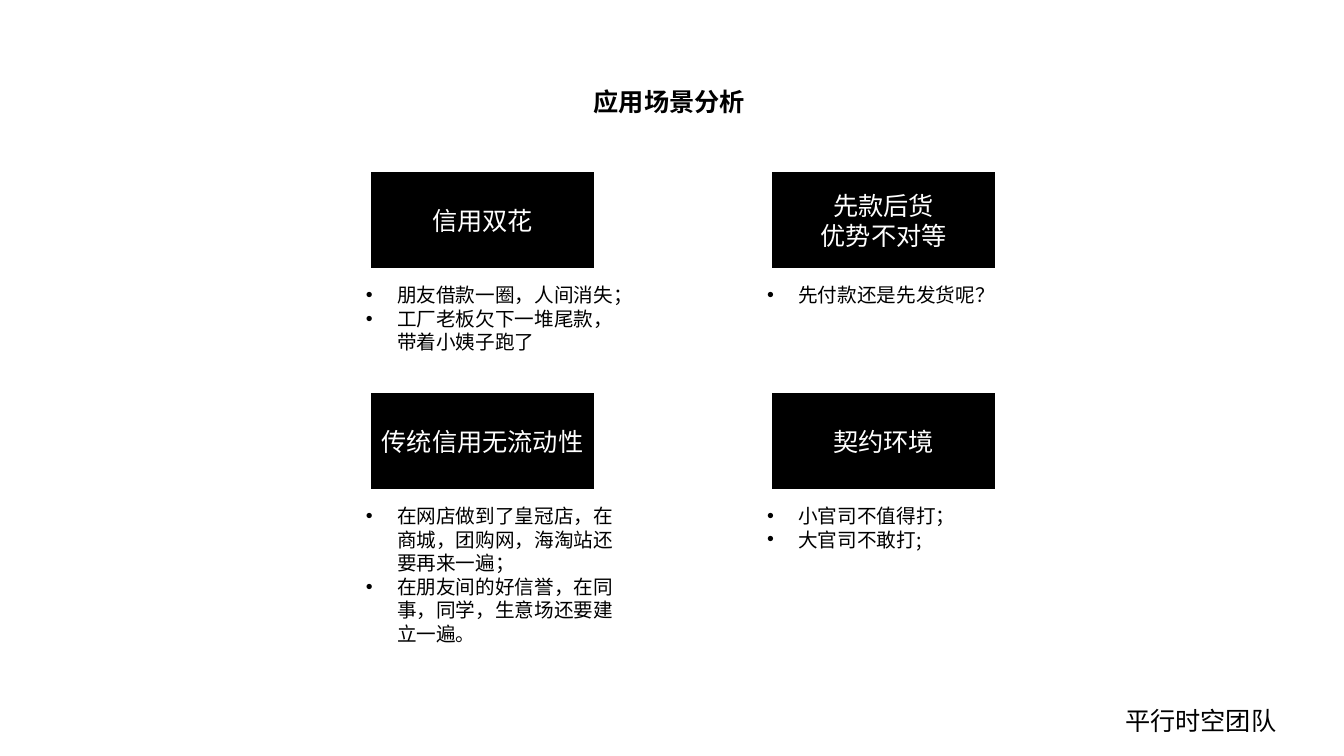
"""Builds the slide on application scenarios: four headed boxes with bullet notes."""
from lxml import etree
from pptx import Presentation
from pptx.dml.color import RGBColor
from pptx.enum.shapes import MSO_SHAPE
from pptx.enum.text import MSO_ANCHOR, MSO_AUTO_SIZE, PP_ALIGN
from pptx.oxml.ns import qn
from pptx.util import Inches, Pt

COLORS = {"ink": "000000", "paper": "FFFFFF"}
FONT = "Noto Sans CJK SC"
COLUMNS = (3.67, 7.65)
ROWS = (1.7, 3.89)
SCENARIOS = [
    ("信用双花", ["朋友借款一圈，人间消失；", "工厂老板欠下一堆尾款，带着小姨子跑了"], 0.81),
    ("先款后货\n优势不对等", ["先付款还是先发货呢？"], 0.34),
    ("传统信用无流动性", ["在网店做到了皇冠店，在商城，团购网，海淘站还要再来一遍；",
                  "在朋友间的好信誉，在同事，同学，生意场还要建立一遍。"], 1.51),
    ("契约环境", ["小官司不值得打；", "大官司不敢打;"], 0.57),
]


def write(frame, text, size, color, align=PP_ALIGN.LEFT, font=FONT, bold=False):
    frame.text = text
    for paragraph in frame.paragraphs:
        paragraph.alignment = align
        for run in paragraph.runs:
            run.font.size = Pt(size)
            run.font.bold = bold
            run.font.name = font
            run.font.color.rgb = RGBColor.from_string(COLORS[color])
            latin = run.font._element.find(qn("a:latin"))
            latin.addnext(etree.Element(qn("a:ea"), typeface=font))


def add_text(left, top, width, height):
    frame = slide.shapes.add_textbox(
        Inches(left), Inches(top), Inches(width), Inches(height)).text_frame
    frame.word_wrap = True
    return frame


deck = Presentation()
deck.slide_width, deck.slide_height = Inches(13.33), Inches(7.5)
slide = deck.slides.add_slide(deck.slide_layouts[6])

team = add_text(10.86, 6.65, 2.1, 1)
team.vertical_anchor = MSO_ANCHOR.MIDDLE
write(team, "平行时空团队", 18, "ink", PP_ALIGN.CENTER, "Noto Sans CJK JP")

title = add_text(5.79, 0.81, 1.72, 0.4)
title.word_wrap = False
title.auto_size = MSO_AUTO_SIZE.SHAPE_TO_FIT_TEXT
write(title, "应用场景分析", 18, "ink", bold=True)

for index, (heading, points, notes_height) in enumerate(SCENARIOS):
    left, top = COLUMNS[index % 2], ROWS[index // 2]

    header = slide.shapes.add_shape(
        MSO_SHAPE.RECTANGLE, Inches(left), Inches(top), Inches(2.23), Inches(0.97))
    header.shadow.inherit = False
    header.fill.solid()
    header.fill.fore_color.rgb = RGBColor.from_string(COLORS["ink"])
    header.line.color.rgb = RGBColor.from_string(COLORS["paper"])
    header.line.width = Pt(1.5)
    header.text_frame.vertical_anchor = MSO_ANCHOR.MIDDLE
    write(header.text_frame, heading, 18, "paper", PP_ALIGN.CENTER)

    notes = add_text(left - 0.14, top + 1.06, 2.76, notes_height)
    notes.auto_size = MSO_AUTO_SIZE.SHAPE_TO_FIT_TEXT
    write(notes, "\n".join(points), 14, "ink")
    for paragraph in notes.paragraphs:
        properties = paragraph._p.get_or_add_pPr()
        properties.set("marL", str(Inches(0.31)))
        properties.set("indent", str(-Inches(0.31)))
        etree.SubElement(properties, qn("a:buFont"), typeface="Arial")
        etree.SubElement(properties, qn("a:buChar"), char="•")

deck.save("out.pptx")
